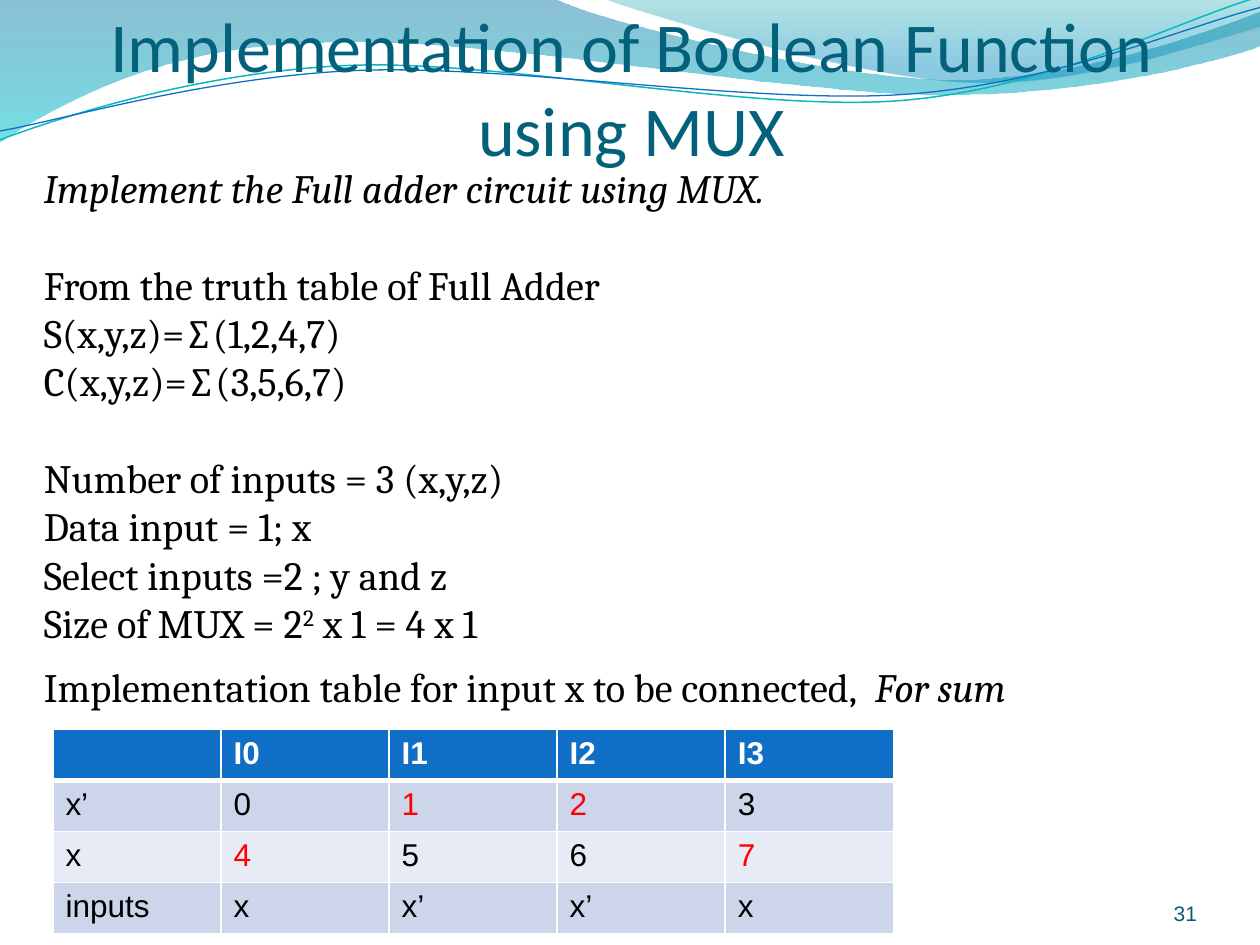
from lxml import etree
from pptx import Presentation
from pptx.dml.color import RGBColor
from pptx.enum.text import MSO_ANCHOR, PP_ALIGN
from pptx.oxml.ns import qn
from pptx.util import Inches, Pt

TOP, BOTTOM = MSO_ANCHOR.TOP, MSO_ANCHOR.BOTTOM
LEFT, CENTER, RIGHT = PP_ALIGN.LEFT, PP_ALIGN.CENTER, PP_ALIGN.RIGHT

COLORS = {
    "text": "000000", "title": "04617B", "number": "045D75", "white": "FFFFFF",
    "red": "FF0000", "header": "0F6FC6", "band1": "CCD5EA", "band2": "E7EBF5",
    "teal_line": "0AB8BF", "blue_line": "0F6FC6",
    "deep": "0074A1", "cyan": "00C6CF", "sea": "00A1A9", "sky": "008BBF",
}
BODY_SIZE = 23
BLANK_LINE = 27.6
INSETS = (0.1, 0.05, 0.1, 0.05)

LEFT_WAVE = [
    (0, -0.01), (4.4, -0.01),
    (4.76, 0.17, 6.64, 0.63, 7.58, 0.63), (8.53, 0.63, 9.58, 0.26, 10, 0.09),
    (10.01, 0.36),
    (9.83, 0.44, 8.7, 0.76, 7.46, 0.75), (6.22, 0.75, 3.82, 0.28, 2.57, 0.34),
    (1.29, 0.35, 0.46, 0.83, -0.01, 1.13), (0, -0.01),
]
RIGHT_WAVE = [
    (4.79, -0.01),
    (5.09, 0.11, 6.82, 0.62, 7.69, 0.65), (8.56, 0.69, 9.61, 0.32, 10, 0.21),
    (10, 0), (4.79, -0.01),
]
TEAL_CURVE = [
    (0, 1.11),
    (0.48, 0.93, 1.58, 0.57, 2.77, 0.52), (3.95, 0.47, 5.93, 0.89, 7.13, 0.8),
    (8.33, 0.71, 9.38, 0.15, 9.98, -0.02),
]
BLUE_CURVE = [
    (0, 1.04),
    (0.47, 0.96, 1.64, 0.61, 2.83, 0.56), (4.03, 0.51, 5.97, 0.83, 7.17, 0.75),
    (8.36, 0.67, 9.41, 0.21, 10, 0.06),
]

BODY = [
    (0, [("Implement the Full adder circuit using MUX.", "italic")]),
    (BLANK_LINE, [("From the truth table of Full Adder", "")]),
    (0, [("S(x,y,z)=∑(1,2,4,7)", "")]),
    (0, [("C(x,y,z)=∑(3,5,6,7)", "")]),
    (BLANK_LINE, [("Number of inputs = 3 (x,y,z)", "")]),
    (0, [("Data input = 1; x", "")]),
    (0, [("Select inputs =2 ; y and z", "")]),
    (0, [("Size of MUX = 2", ""), ("2", "super"), (" x 1 = 4 x 1", "")]),
]
CAPTION = [(0, [("Implementation table for input x to be connected,  ", ""),
                ("For sum", "italic")])]
ROWS = [
    ["", "I0", "I1", "I2", "I3"],
    ["x’", "0", "1", "2", "3"],
    ["x", "4", "5", "6", "7"],
    ["inputs", "x", "x’", "x’", "x"],
]
MINTERMS = {"1", "2", "4", "7"}


def rgb(name):
    return RGBColor.from_string(COLORS[name])


class SlideBuilder:
    """Draws styled elements on the current slide."""

    def __init__(self, slide):
        self.s = slide

    def outline(self, steps, close):
        ends = [tuple(map(Inches, step[-2:])) for step in steps]
        fb = self.s.shapes.build_freeform(*ends[0])
        fb.add_line_segments(ends[1:], close=close)
        sp = fb.convert_to_shape()
        sp.shadow.inherit = False
        segments = list(sp._element.iter(qn("a:lnTo")))
        for segment, step in zip(segments, steps[1:]):
            if len(step) == 6:
                segment.tag = qn("a:cubicBezTo")
                for i in (0, 1):
                    x, y = map(Inches, step[2 * i:2 * i + 2])
                    pt = etree.Element(qn("a:pt"), x=str(x - sp.left), y=str(y - sp.top))
                    segment.insert(i, pt)
        return sp

    def wave(self, steps, stops):
        sp = self.outline(steps, True)
        sp.line.fill.background()
        sp.fill.gradient()
        sp.fill.gradient_angle = 270
        for stop, (position, color, _) in zip(sp.fill.gradient_stops, stops):
            stop.position = position
            stop.color.rgb = rgb(color)
        for clr, (_, _, alpha) in zip(sp._element.spPr.iter(qn("a:srgbClr")), stops):
            etree.SubElement(clr, qn("a:alpha"), val=str(alpha * 1000))

    def curve(self, steps, color, width):
        sp = self.outline(steps, False)
        sp.fill.background()
        sp.line.color.rgb = rgb(color)
        sp.line.width = Pt(width)

    def text(self, box, lines, font="Cambria", size=BODY_SIZE, color="text",
             align=LEFT, anchor=TOP, insets=INSETS):
        tf = self.s.shapes.add_textbox(*map(Inches, box)).text_frame
        tf.word_wrap = True
        tf.vertical_anchor = anchor
        tf.margin_left, tf.margin_top, tf.margin_right, tf.margin_bottom = map(Inches, insets)
        for i, (before, runs) in enumerate(lines):
            p = tf.add_paragraph() if i else tf.paragraphs[0]
            p.alignment = align
            if before:
                p.space_before = Pt(before)
            self.font(p.font, font, size, color)
            for words, style in runs:
                r = p.add_run()
                r.text = words
                if style == "italic":
                    r.font.italic = True
                elif style == "super":
                    r._r.get_or_add_rPr().set("baseline", "30000")

    def font(self, font, name, size, color):
        font.name, font.size = name, Pt(size)
        font.color.rgb = rgb(color)

    def border(self, cell, side, width):
        ln = etree.SubElement(cell._tc.get_or_add_tcPr(), qn(f"a:ln{side}"),
                              w=str(Pt(width)))
        fill = etree.SubElement(ln, qn("a:solidFill"))
        etree.SubElement(fill, qn("a:srgbClr"), val=COLORS["white"])

    def table(self, box, rows):
        tbl = self.s.shapes.add_table(len(rows), len(rows[0]), *map(Inches, box)).table
        for i, row in enumerate(rows):
            for j, words in enumerate(row):
                cell = tbl.cell(i, j)
                for side in "LRTB":
                    heavy = (i, side) in ((0, "B"), (1, "T"))
                    self.border(cell, side, 3 if heavy else 1)
                cell.fill.solid()
                cell.fill.fore_color.rgb = rgb(
                    "header" if i == 0 else "band1" if i % 2 else "band2")
                cell.text = words
                color = "white" if i == 0 else "red" if words in MINTERMS else "text"
                p = cell.text_frame.paragraphs[0]
                self.font(p.font, "Arial", 18, color)
                p.font.bold = i == 0


def main():
    prs = Presentation()
    prs.slide_width, prs.slide_height = Inches(10), Inches(7.5)
    b = SlideBuilder(prs.slides.add_slide(prs.slide_layouts[6]))
    b.wave(LEFT_WAVE, [(0, "deep", 45), (1, "cyan", 55)])
    b.wave(RIGHT_WAVE, [(0, "sea", 30), (0.8, "sky", 45)])
    b.curve(TEAL_CURVE, "teal_line", 0.85)
    b.curve(BLUE_CURVE, "blue_line", 0.75)
    b.text((8.67, 6.95, 0.83, 0.4), [(0, [("31", "")])], "Arial", 12, "number",
           RIGHT, BOTTOM, (0, 0, 0, 0))
    b.text((0.75, 0.25, 8.52, 1.1),
           [(0, [("Implementation of Boolean Function using MUX", "")])],
           "Calibri", 40, "title", CENTER, BOTTOM, (0, 0.05, 0, 0))
    b.text((0.25, 1.25, 9.67, 5.13), BODY)
    b.text((0.25, 5.21, 8.67, 0.88), CAPTION)
    b.table((0.42, 5.79, 6.67, 1.62), ROWS)
    prs.save("out.pptx")


if __name__ == "__main__":
    main()
